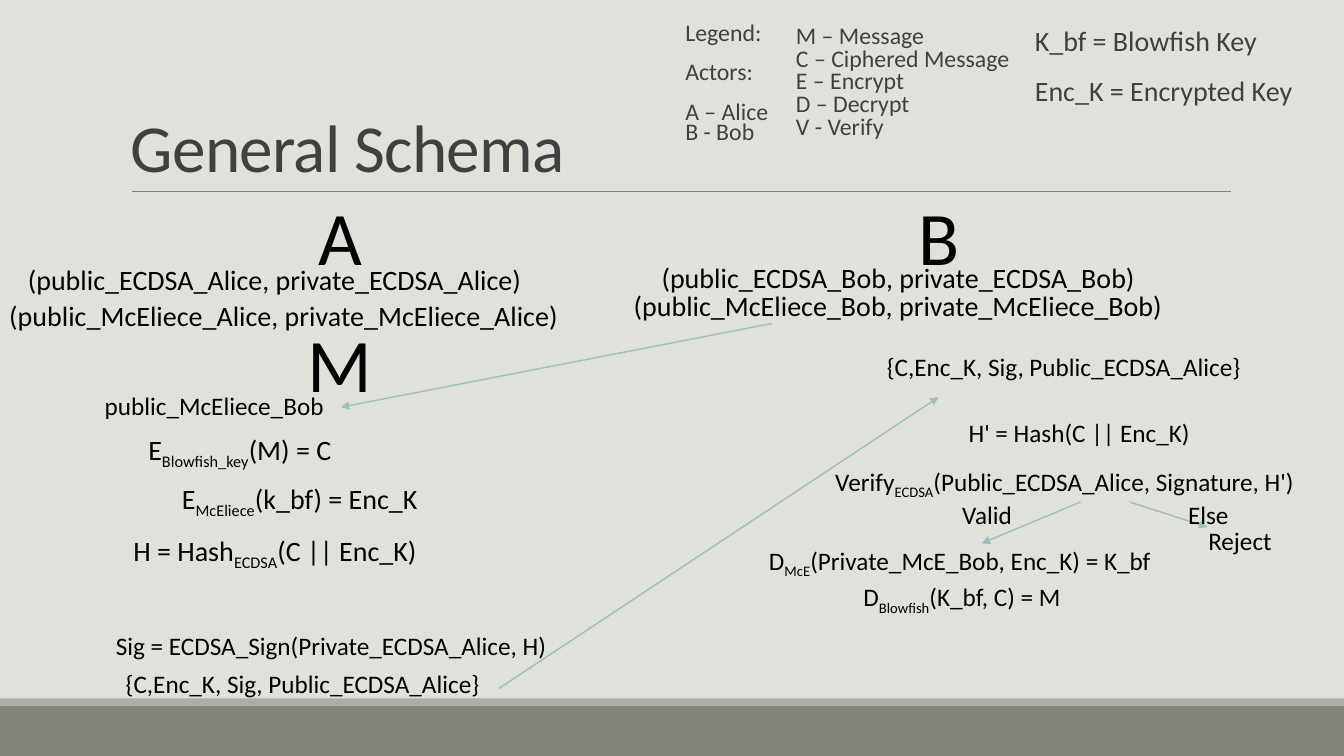
"""Build a slide with the general schema of a signed, hybrid encrypted exchange."""
from copy import deepcopy
from pptx import Presentation
from pptx.dml.color import RGBColor
from pptx.enum import shapes as kinds, text as opts
from pptx.oxml import ns
from pptx.util import Cm, Pt

HUES = {"back": "E1E1DB", "foot": "82847C", "strip": "ACADA8", "rule": "808080",
        "arrow": "9DBFBE", "head": "404040", "ink": "000000"}
FONT = "Calibri"
MID, LEFT = opts.PP_ALIGN.CENTER, opts.PP_ALIGN.LEFT
GROW = opts.MSO_AUTO_SIZE.SHAPE_TO_FIT_TEXT

BARS = [("foot", 17.78, 1.27), ("strip", 17.6, 0.18)]
ARROWS = [(19.46, 8.15, 8.59, 10.26), (12.57, 17.35, 23.65, 10.01),
          (27.23, 12.65, 24.74, 13.69), (28.47, 12.65, 30.43, 13.28)]
ACTORS = [("A", 7.77, 4.65, 1.63), ("B", 22.89, 4.67, 1.55), ("M", 7.49, 7.85, 2.16)]
KEYS = [("(public_ECDSA_Alice, private_ECDSA_Alice)", 0.38, 6.5, 13.08),
        ("(public_McEliece_Alice, private_McEliece_Alice)", -0.1, 7.39, 14.5),
        ("(public_ECDSA_Bob, private_ECDSA_Bob)", 16.36, 6.45, 12.55),
        ("(public_McEliece_Bob, private_McEliece_Bob)", 15.57, 7.14, 14.12),
        ("E~Blowfish_key~(M) = C", 3.3, 10.77, 5.49)]
SUMS = [("E~McEliece~(k_bf) = Enc_K", 0.61, 12.01, 13.89),
        ("H = Hash~ECDSA~(C || Enc_K)", 0.2, 13.31, 13.46)]
PACK = "{C,Enc_K, Sig, Public_ECDSA_Alice}"
STEPS = [("public_McEliece_Bob", 2.39, 9.7, 6.22),
         ("Sig = ECDSA_Sign(Private_ECDSA_Alice, H)", 2.67, 15.77, 13.46),
         (PACK, 2.92, 16.71, 9.65),
         (PACK, 22.1, 8.74, 9.65),
         ("H' = Hash(C || Enc_K)", 24.16, 10.39, 6.83),
         ("Verify~ECDSA~(Public_ECDSA_Alice, Signature, H')", 20.8, 11.63, 13.89),
         ("Valid", 24, 12.47, 1.98),
         ("Else", 29.69, 12.45, 1.98),
         ("Reject", 30.2, 13.11, 2.49),
         ("D~McE~(Private_McE_Bob, Enc_K) = K_bf", 19.13, 13.61, 12.78),
         ("D~Blowfish~(K_bf, C) = M", 21.51, 14.53, 6.12)]
LEGEND = [(["Legend:", "Actors:", "A – Alice\nB - Bob"], 17.02, 0.51, 3.35, 17, 0.7),
          (["M – Message\nC – Ciphered Message\nE – Encrypt\nD – Decrypt\nV - Verify"],
           19.81, 0.53, 6.17, 17, 0.8),
          (["K_bf = Blowfish Key", "Enc_K = Encrypted Key"], 25.83, 0.56, 7.21, 20, 0.9)]


def rgb(name):
    """Return the named colour."""
    return RGBColor.from_string(HUES[name])


def apply(item, looks):
    """Set each attribute of item from a dict."""
    for key, val in looks.items():
        setattr(item, key, val)


def add_bar(slide, hue, top, high):
    """Draw a full-width band."""
    bar = slide.shapes.add_shape(kinds.MSO_SHAPE.RECTANGLE, 0, Cm(top), Cm(33.87), Cm(high))
    bar.shadow.inherit = False
    bar.fill.solid()
    bar.fill.fore_color.rgb = rgb(hue)
    bar.line.fill.background()


def add_line(slide, ends, hue, wide, tip=False):
    """Draw a straight line, with an arrowhead at its end if asked."""
    link = slide.shapes.add_connector(kinds.MSO_CONNECTOR.STRAIGHT, *map(Cm, ends))
    link.line.color.rgb = rgb(hue)
    link.line.width = Pt(wide)
    if tip:
        head = link.line._get_or_add_ln().makeelement(ns.qn("a:tailEnd"), {"type": "triangle"})
        link.line._get_or_add_ln().append(head)
    prop = link._element.spPr
    prop.append(prop.makeelement(ns.qn("a:effectLst"), {}))


def add_runs(para, words, size, hue):
    """Fill a paragraph; parts between tildes are subscripts."""
    for row, line in enumerate(words.split("\n")):
        if row:
            para.add_line_break()
        for part, bit in enumerate(line.split("~")):
            run = para.add_run()
            run.text = bit
            apply(run.font, {"size": Pt(size), "name": FONT})
            run.font.color.rgb = rgb(hue)
            if part % 2:
                run.font._element.set("baseline", "-25000")
    for gap in para._p.findall(ns.qn("a:br")):
        gap.append(deepcopy(para.runs[0].font._element))


def add_text(slide, paras, box, size, hue="ink", frame=None, looks=None):
    """Add a text box and return it."""
    area = slide.shapes.add_textbox(*map(Cm, box))
    body = area.text_frame
    apply(body, {"word_wrap": True, **(frame or {})})
    for num, words in enumerate(paras):
        para = body.add_paragraph() if num else body.paragraphs[0]
        apply(para, looks or {})
        add_runs(para, words, size, hue)
    return area


def add_title(slide):
    """Add the heading and the rule below it."""
    area = add_text(slide, ["General Schema"], (3.05, 0.79, 27.94, 4.04), 48, "head",
                    {"vertical_anchor": opts.MSO_ANCHOR.BOTTOM}, {"line_spacing": 0.85})
    area.text_frame.paragraphs[0].runs[0].font._element.set("spc", "-50")
    add_line(slide, (3.33, 4.83, 31.01, 4.83), "rule", 0.5)


def add_legend(slide):
    """Add the three columns of the legend."""
    for paras, left, top, wide, size, gap in LEGEND:
        area = add_text(slide, paras, (left, top, wide, 3.48), size, "head",
                        {"margin_left": 0, "margin_right": 0},
                        {"line_spacing": gap, "space_before": Pt(12), "space_after": Pt(2)})
        for para in area.text_frame.paragraphs:
            para._p.get_or_add_pPr().set("marL", str(Cm(0.25)))


def main():
    """Build and save the slide."""
    deck = Presentation()
    apply(deck, {"slide_width": Cm(33.87), "slide_height": Cm(19.05)})
    slide = deck.slides.add_slide(deck.slide_layouts[6])
    slide.background.fill.solid()
    slide.background.fill.fore_color.rgb = rgb("back")
    for bar in BARS:
        add_bar(slide, *bar)
    add_title(slide)
    add_legend(slide)
    for ends in ARROWS:
        add_line(slide, ends, "arrow", 1, True)
    groups = [(ACTORS, 54, 2.57, False, MID), (KEYS, 20, 1.12, False, MID),
              (SUMS, 20, 1.12, True, MID), (STEPS, 18, 1.02, True, LEFT)]
    for items, size, high, wrap, side in groups:
        for words, left, top, wide in items:
            add_text(slide, [words], (left, top, wide, high), size,
                     frame={"word_wrap": wrap, "auto_size": GROW}, looks={"alignment": side})
    deck.save("out.pptx")


if __name__ == "__main__":
    main()
